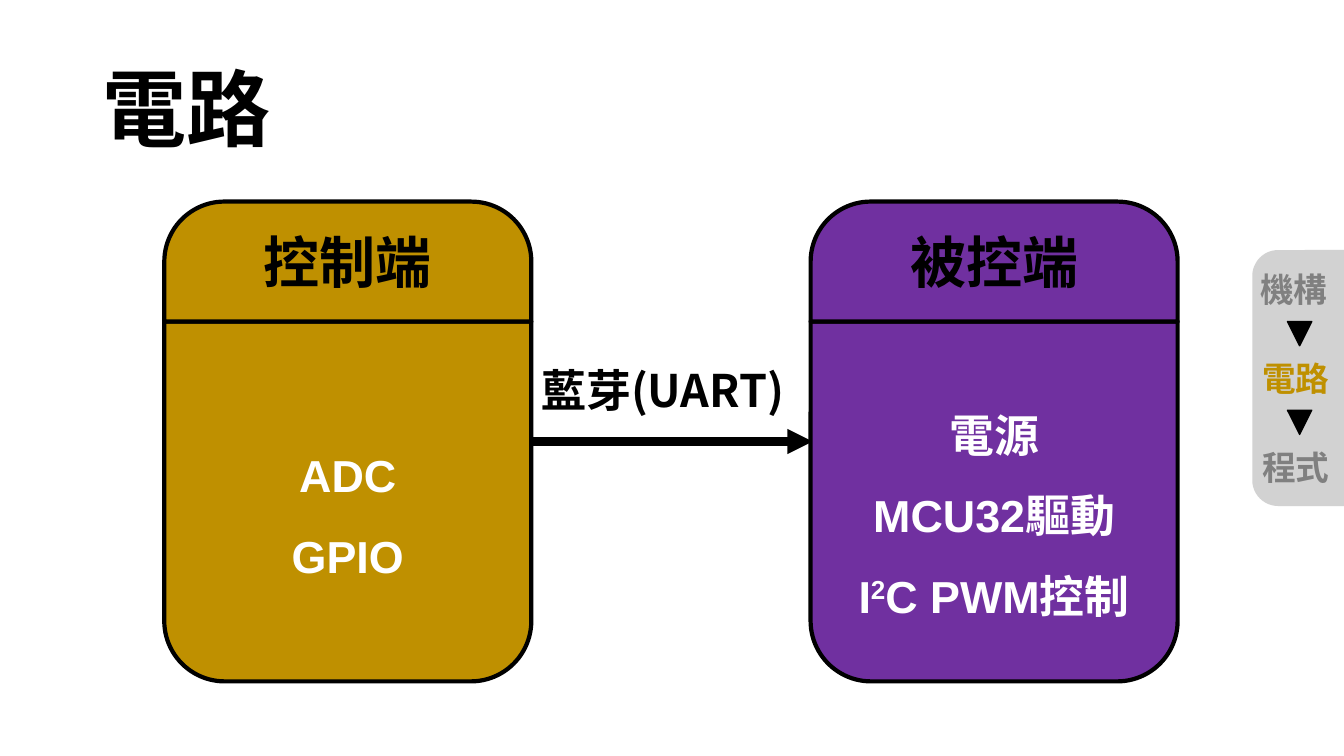
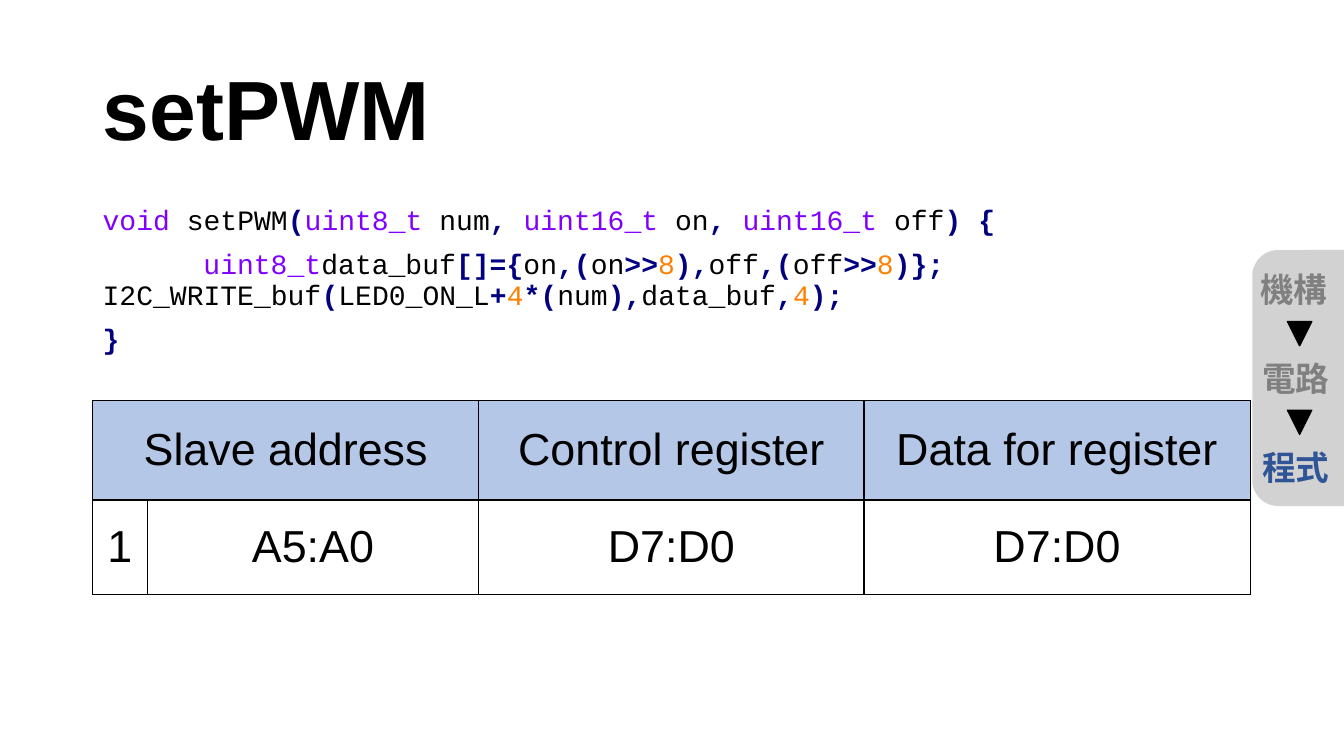
from dataclasses import dataclass
from typing import NamedTuple

from lxml import etree
from pptx import Presentation, util as u
from pptx.dml.color import RGBColor
from pptx.enum import shapes, text
from pptx.oxml.ns import qn

Inches, Pt = u.Inches, u.Pt
SHAPE = shapes.MSO_SHAPE
ANCHOR = text.MSO_ANCHOR
ALIGN = text.PP_ALIGN


@dataclass(frozen=True)
class Theme:
    black: str = "000000"
    white: str = "FFFFFF"
    panel: str = "BFBFBF"
    muted: str = "808080"
    gold: str = "BF9000"
    purple: str = "7030A0"
    blue: str = "2F5597"
    table_head: str = "B4C7E7"
    code_type: str = "8000FF"
    code_mark: str = "000080"
    code_number: str = "FF8000"
    sans: str = "Arial"
    cjk: str = "Noto Sans CJK SC"
    mono: str = "Courier New"
    title_size: int = 60
    heading_size: int = 40
    text_size: int = 32
    step_size: int = 24
    code_size: int = 20


THEME = Theme()


class Box(NamedTuple):
    left: float
    top: float
    width: float
    height: float

    def lengths(self) -> list:
        return [Inches(value) for value in self]


class Style(NamedTuple):
    size: int
    color: str
    font: str = THEME.sans
    bold: bool = True


class Span(NamedTuple):
    text: str
    style: Style
    raised: bool = False


@dataclass(frozen=True)
class Card:
    left: float
    color: str
    heading: str
    lines: list


class Step(NamedTuple):
    name: str
    left: float
    color: str


TITLE_STYLE = Style(THEME.title_size, THEME.black)
HEADING_STYLE = Style(THEME.heading_size, THEME.black)
CARD_STYLE = Style(THEME.text_size, THEME.white)
LINK_STYLE = Style(THEME.text_size, THEME.black, THEME.cjk)
CELL_STYLE = Style(THEME.text_size, THEME.black, bold=False)

# Code highlighting
PLAIN = Style(THEME.code_size, THEME.black, THEME.mono, False)
TYPE = PLAIN._replace(color=THEME.code_type)
MARK = PLAIN._replace(color=THEME.code_mark, bold=True)
NUMBER = PLAIN._replace(color=THEME.code_number)

TITLE_BOX = Box(0.92, 0.4, 11.5, 1.45)
STEPS = [Step("機構", 12.4, THEME.muted), Step("電路", 12.42, THEME.gold),
         Step("程式", 12.42, THEME.blue)]
STEP_TOP, STEP_PITCH = 2.62, 0.88

CARD_TOP, CARD_WIDTH, HEAD_HEIGHT, BODY_HEIGHT = 2, 3.64, 1.19, 3.57
CARD_RADIUS = 0.6
CARDS = [
    Card(1.63, THEME.gold, "控制端",
         [[Span("ADC", CARD_STYLE)], [Span("GPIO", CARD_STYLE)]]),
    Card(8.04, THEME.purple, "被控端",
         [[Span("電源", CARD_STYLE)], [Span("MCU32驅動", CARD_STYLE)],
          [Span("I", CARD_STYLE), Span("2", CARD_STYLE, True),
           Span("C PWM控制", CARD_STYLE)]]),
]

CODE = [
    [Span("void ", TYPE), Span("setPWM", PLAIN), Span("(", MARK),
     Span("uint8_t", TYPE), Span(" num", PLAIN), Span(", ", MARK),
     Span("uint16_t", TYPE), Span(" on", PLAIN), Span(", ", MARK),
     Span("uint16_t", TYPE), Span(" off", PLAIN), Span(") {", MARK)],
    [Span("\t", PLAIN), Span("uint8_t", TYPE), Span("data_buf", PLAIN),
     Span("[]={", MARK), Span("on", PLAIN), Span(",(", MARK),
     Span("on", PLAIN), Span(">>", MARK), Span("8", NUMBER),
     Span("),", MARK), Span("off", PLAIN), Span(",(", MARK),
     Span("off", PLAIN), Span(">>", MARK), Span("8", NUMBER),
     Span(")};", MARK), Span("\n", PLAIN), Span("I2C_WRITE_buf", PLAIN),
     Span("(", MARK), Span("LED0_ON_L", PLAIN), Span("+", MARK),
     Span("4", NUMBER), Span("*(", MARK), Span("num", PLAIN),
     Span("),", MARK), Span("data_buf", PLAIN), Span(",", MARK),
     Span("4", NUMBER), Span(");", MARK)],
    [Span("}", MARK)],
]


def rgb(color: str) -> RGBColor:
    return RGBColor.from_string(color)


def add_span(para, span: Span) -> None:
    if span.text == "\n":
        para.add_line_break()
        return
    run = para.add_run()
    run.text = span.text
    run.font.name = span.style.font
    run.font.size = Pt(span.style.size)
    run.font.bold = span.style.bold
    run.font.color.rgb = rgb(span.style.color)
    properties = run._r.get_or_add_rPr()
    etree.SubElement(properties, qn("a:ea"), typeface=THEME.cjk)
    if span.raised:
        properties.set("baseline", "30000")


def add_tab_stop(para, position: float) -> None:
    stops = etree.SubElement(para._p.get_or_add_pPr(), qn("a:tabLst"))
    etree.SubElement(stops, qn("a:tab"), pos=str(Inches(position)), algn="l")


def write(frame, lines: list, align=ALIGN.LEFT, anchor=ANCHOR.TOP,
          spacing: float = 1.0, before: float = 0) -> None:
    frame.word_wrap = True
    frame.vertical_anchor = anchor
    for index, line in enumerate(lines):
        para = frame.add_paragraph() if index else frame.paragraphs[0]
        para.alignment = align
        para.line_spacing = spacing
        para.space_before = Pt(before if index else 0)
        if line[0].text == "\t":
            add_tab_stop(para, 1)
        for span in line:
            add_span(para, span)


def add_text(page, box: Box, lines: list, **layout) -> None:
    write(page.shapes.add_textbox(*box.lengths()).text_frame, lines, **layout)


def add_filled(page, kind, box: Box, color: str, line_width: float = 0):
    shape = page.shapes.add_shape(kind, *box.lengths())
    shape.shadow.inherit = False
    shape.fill.solid()
    shape.fill.fore_color.rgb = rgb(color)
    if line_width:
        shape.line.color.rgb = rgb(THEME.black)
        shape.line.width = Pt(line_width)
    else:
        shape.line.fill.background()
    return shape


def add_progress(page, active: str) -> None:
    # Tab on the right edge: a top-rounded rectangle turned a quarter left
    width, height, left, top = 0.92, 2.54, 12.42, 2.48
    shift = (height - width) / 2
    tab = add_filled(page, SHAPE.ROUND_2_SAME_RECTANGLE,
                     Box(left - shift, top + shift, height, width), THEME.panel)
    tab.rotation = 270
    tab.adjustments[0] = 0.28
    color = tab.fill._xPr.find(qn("a:solidFill"))[0]
    etree.SubElement(color, qn("a:alpha"), val="70000")
    for index, step in enumerate(STEPS):
        step_top = STEP_TOP + index * STEP_PITCH
        shade = step.color if step.name == active else THEME.muted
        style = Style(THEME.step_size, shade, THEME.cjk)
        add_text(page, Box(step.left, step_top, 0.94, 0.5),
                 [[Span(step.name, style)]])
        if index:
            arrow = add_filled(page, SHAPE.ISOSCELES_TRIANGLE,
                               Box(12.77, step_top - 0.31, 0.24, 0.24),
                               THEME.black, 1)
            arrow.rotation = 180


def add_page(deck, title: str, active: str):
    page = deck.slides.add_slide(deck.slide_layouts[5])
    heading = page.shapes.title
    heading.left, heading.top, heading.width, heading.height = TITLE_BOX.lengths()
    heading.text_frame.auto_size = text.MSO_AUTO_SIZE.NONE
    write(heading.text_frame, [[Span(title, TITLE_STYLE)]],
          anchor=ANCHOR.MIDDLE, spacing=0.9)
    add_progress(page, active)
    return page


def add_card(page, card: Card) -> None:
    # Extra margin opposite the rounded corners keeps the text centred
    inset = Inches(0.05 + 0.29 * CARD_RADIUS)
    body = add_filled(page, SHAPE.ROUND_2_SAME_RECTANGLE,
                      Box(card.left, CARD_TOP + HEAD_HEIGHT, CARD_WIDTH, BODY_HEIGHT),
                      card.color, 3)
    body.adjustments[0] = 0
    body.adjustments[1] = CARD_RADIUS / BODY_HEIGHT
    body.text_frame.margin_top = inset
    write(body.text_frame, card.lines, ALIGN.CENTER, ANCHOR.MIDDLE, 1.5)
    head = add_filled(page, SHAPE.ROUND_2_SAME_RECTANGLE,
                      Box(card.left, CARD_TOP, CARD_WIDTH, HEAD_HEIGHT),
                      card.color, 3)
    head.adjustments[0] = 0.5
    head.text_frame.margin_bottom = inset
    write(head.text_frame, [[Span(card.heading, HEADING_STYLE)]],
          ALIGN.CENTER, ANCHOR.MIDDLE)


def add_arrow(page, start: float, end: float, height: float) -> None:
    arrow = page.shapes.add_connector(
        shapes.MSO_CONNECTOR.STRAIGHT,
        Inches(start), Inches(height), Inches(end), Inches(height))
    arrow.line.color.rgb = rgb(THEME.black)
    arrow.line.width = Pt(6)
    etree.SubElement(arrow.line._get_or_add_ln(), qn("a:tailEnd"), type="triangle")
    etree.SubElement(arrow._element.spPr, qn("a:effectLst"))


def fill_cell(cell, label: str, color: str) -> None:
    properties = cell._tc.get_or_add_tcPr()
    for side in ("lnL", "lnR", "lnT", "lnB"):
        border = etree.SubElement(properties, qn(f"a:{side}"), w=str(Pt(1)))
        paint = etree.SubElement(border, qn("a:solidFill"))
        etree.SubElement(paint, qn("a:srgbClr"), val=THEME.black)
    cell.fill.solid()
    cell.fill.fore_color.rgb = rgb(color)
    cell.vertical_anchor = ANCHOR.MIDDLE
    if label:
        write(cell.text_frame, [[Span(label, CELL_STYLE)]], ALIGN.CENTER,
              ANCHOR.MIDDLE)


def add_register_table(page) -> None:
    rows = [["Slave address", "", "Control register", "Data for register"],
            ["1", "A5:A0", "D7:D0", "D7:D0"]]
    widths, heights = [0.54, 3.29, 3.82, 3.83], [0.99, 0.94]
    box = Box(0.92, 3.97, sum(widths), sum(heights))
    table = page.shapes.add_table(len(rows), len(widths), *box.lengths()).table
    table.first_row = table.horz_banding = False
    for column, width in zip(table.columns, widths):
        column.width = Inches(width)
    for index, labels in enumerate(rows):
        table.rows[index].height = Inches(heights[index])
        for position, label in enumerate(labels):
            fill_cell(table.cell(index, position), label,
                      THEME.white if index else THEME.table_head)
    table.cell(0, 0).merge(table.cell(0, 1))


def build_circuit(deck) -> None:
    page = add_page(deck, "電路", "電路")
    add_arrow(page, 5.27, 8.06, 4.38)
    for card in CARDS:
        add_card(page, card)
    add_text(page, Box(5.27, 3.55, 2.79, 0.64), [[Span("藍芽(UART)", LINK_STYLE)]])


def build_code(deck) -> None:
    page = add_page(deck, "setPWM", "程式")
    add_text(page, Box(0.92, 2, 11.5, 1.8), CODE, spacing=0.9, before=10)
    add_register_table(page)


def main() -> None:
    deck = Presentation()
    deck.slide_width, deck.slide_height = Inches(13.33), Inches(7.5)
    build_circuit(deck)
    build_code(deck)
    deck.save("out.pptx")


if __name__ == "__main__":
    main()
